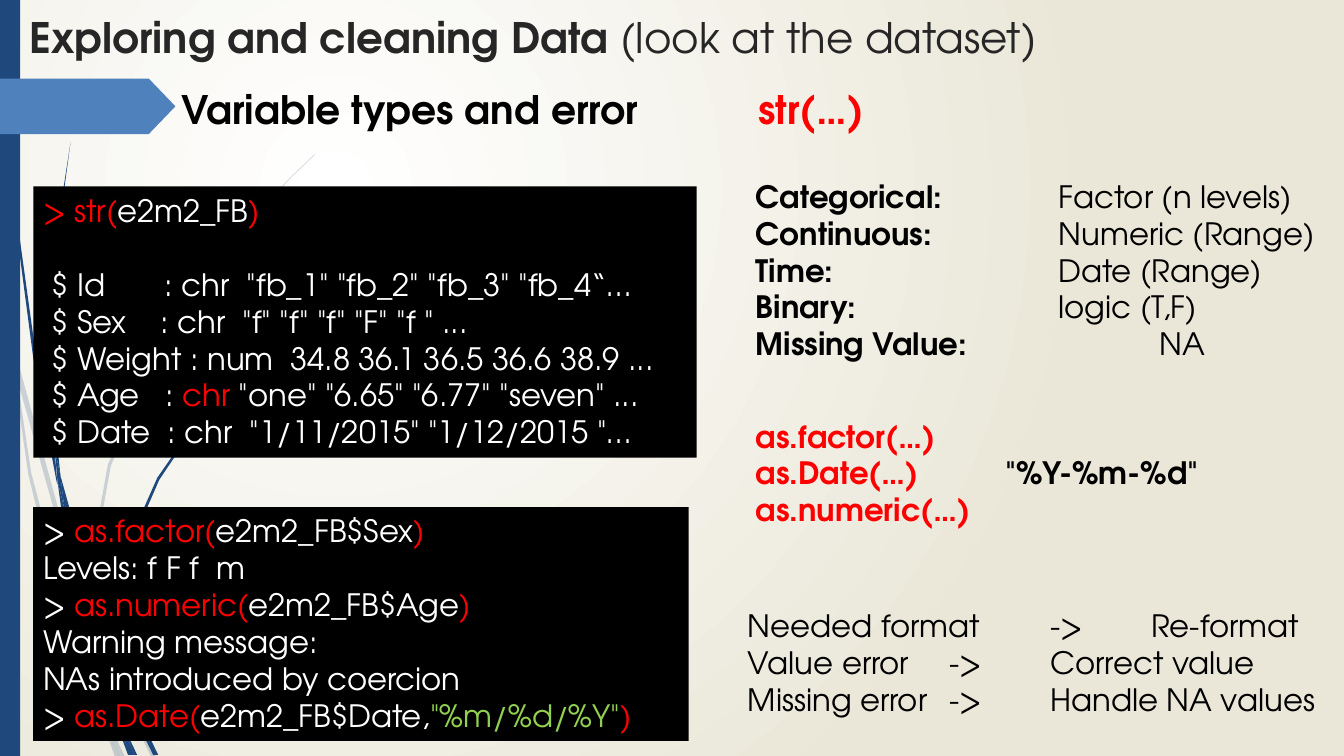
from dataclasses import dataclass

from lxml.etree import SubElement
from pptx import Presentation
from pptx.dml.color import RGBColor
from pptx.enum.shapes import MSO_SHAPE
from pptx.enum.text import MSO_ANCHOR, PP_ALIGN
from pptx.oxml.ns import qn
from pptx.util import Inches, Pt


@dataclass(frozen=True)
class Theme:
    font: str = "TeX Gyre Adventor"
    title_size: int = 30
    heading_size: int = 28
    body_size: int = 22
    title: str = "262626"
    black: str = "000000"
    white: str = "FFFFFF"
    red: str = "FF0000"
    green: str = "92D050"
    navy: str = "1F497D"
    blue: str = "4F81BD"
    beige: str = "EAE7D8"


T = Theme()


def red(text):
    return text, {"color": T.red}


def bold(text):
    return text, {"bold": True}


# Each text is a list of lines, each line a list of runs.
TITLE = [[bold("Exploring and cleaning Data"), " (look at the dataset)"]]
HEADING = [["Variable types and error\t", red("str(…)")]]
STR_CALL = [[red("> str("), "e2m2_FB", red(")")]]
STR_OUTPUT = [
    [' $ Id       : chr  "fb_1" "fb_2" "fb_3" "fb_4“…'],
    [' $ Sex    : chr  "f" "f" "f" "F" "f " ...'],
    [" $ Weight : num  34.8 36.1 36.5 36.6 38.9 ..."],
    [" $ Age   : ", red("chr"), ' "one" "6.65" "6.77" "seven" ...'],
    [' $ Date  : chr  "1/11/2015" "1/12/2015 "…'],
]
CONVERSION = [
    ["> ", red("as.factor("), "e2m2_FB$Sex", red(")")],
    ["Levels: f F f  m"],
    ["> ", red("as.numeric("), "e2m2_FB$Age", red(")")],
    ["Warning message:"],
    ["NAs introduced by coercion"],
    ["> ", red("as.Date("), "e2m2_FB$Date,",
     ('"%m/%d/%Y"', {"color": T.green}), red(")")],
]
TYPES = [
    [bold("Categorical:"), "\tFactor (n levels)"],
    [bold("Continuous:"), "\tNumeric (Range)"],
    [bold("Time:"), "\tDate (Range)"],
    [bold("Binary:"), "\tlogic (T,F)"],
    [bold("Missing Value:"), "\t\tNA"],
]
FUNCTIONS = [
    [red("as.factor(…)")],
    [red("as.Date(…)"), '\t"%Y-%m-%d"'],
    [red("as.numeric(…)")],
]
ACTIONS = [
    ["Needed format\t->\tRe-format"],
    ["Value error\t->\tCorrect value"],
    ["Missing error\t->\tHandle NA values"],
]

# Outlines of the grass blades, in inches on the slide.
PALE_BLADES = [
    [(0.11, 3.5), (0.09, 3.22), (0, 2.82), (0, 2.99), (0.1, 3.44)],
    [(0.58, 5.22), (0.84, 5.99), (0.85, 5.86), (0.62, 5.2), (0.14, 3.45), (0.17, 3.76)],
    [(0.92, 6.07), (0.88, 5.96), (0.88, 6.1), (1.23, 6.94), (1.5, 7.51), (1.55, 7.51),
     (1.27, 6.92)],
    [(1.19, 7.51), (1.24, 7.51), (1.05, 7.11)],
    [(0.93, 6.83), (0.7, 6.19), (0.31, 4.69), (0.17, 3.76), (0.11, 3.5), (0.28, 4.7),
     (0.65, 6.21), (0.92, 6.93), (1.01, 7.14), (0.99, 7.07)],
    [(0.88, 5.84), (1.1, 4.62), (1.6, 3.49), (2.29, 2.45), (2.68, 1.98), (2.9, 1.75),
     (3.12, 1.54), (3.12, 1.53), (2.89, 1.75), (2.68, 1.97), (2.28, 2.44), (1.58, 3.48),
     (1.07, 4.61), (0.85, 5.84), (0.85, 5.86), (0.88, 5.96)],
    [(1.01, 7.14), (1.14, 7.51), (1.19, 7.51)],
    [(0.96, 6.92), (0.93, 6.83), (0.99, 7.07), (1.01, 7.14), (1.19, 7.51), (1.05, 7.11)],
]
DARK_BLADES = [
    [(0.07, 1.1), (0.17, 2.33), (0.33, 3.55), (0.56, 4.77), (0.57, 4.81), (0.55, 4.57),
     (0.55, 4.53), (0.36, 3.55), (0.19, 2.32), (0.08, 1.09), (0.05, 0.48), (0.04, 0),
     (0.03, 0), (0.04, 0.48)],
    [(0.88, 5.92), (1.06, 6.45), (1.06, 6.31), (0.93, 5.9), (0.6, 4.72), (0.64, 5.05)],
    [(1.13, 6.49), (1.1, 6.41), (1.11, 6.56), (1.32, 7.08), (1.52, 7.49), (1.57, 7.49),
     (1.36, 7.06)],
    [(1.1, 6.91), (0.98, 6.57), (0.72, 5.56), (0.64, 5.05), (0.57, 4.77), (0.68, 5.57),
     (0.93, 6.59), (1.11, 7.08), (1.17, 7.22), (1.16, 7.17)],
    [(0.6, 4.72), (0.58, 4.53), (0.54, 3.49), (0.58, 2.45), (0.63, 1.93), (0.7, 1.41),
     (0.62, 1.93), (0.56, 2.45), (0.52, 3.49), (0.55, 4.49)],
    [(1.33, 7.49), (1.36, 7.49), (1.22, 7.19)],
    [(0.57, 4.77), (0.64, 5.05), (0.6, 4.72), (0.55, 4.49), (0.55, 4.53)],
    [(1.11, 6.33), (1.25, 5.52), (1.58, 4.76), (2.05, 4.06), (2.31, 3.74), (2.61, 3.44),
     (2.31, 3.73), (2.04, 4.05), (1.56, 4.74), (1.22, 5.51), (1.06, 6.31), (1.1, 6.41)],
    [(1.17, 7.22), (1.27, 7.49), (1.31, 7.49)],
    [(1.16, 7.06), (1.1, 6.91), (1.16, 7.17), (1.3, 7.49), (1.33, 7.49), (1.22, 7.19)],
]


def paint(sp, color, alpha=100):
    sp.shadow.inherit = False
    sp.fill.solid()
    sp.fill.fore_color.rgb = RGBColor.from_string(color)
    sp.line.fill.background()
    if alpha < 100:
        clr = sp.fill._xPr.find(".//" + qn("a:srgbClr"))
        SubElement(clr, qn("a:alpha"), val=str(alpha * 1000))
    return sp


def add_blade(slide, points, **fmt):
    start, *rest = [(Inches(x), Inches(y)) for x, y in points]
    builder = slide.shapes.build_freeform(*start)
    builder.add_line_segments(rest, close=True)
    paint(builder.convert_to_shape(), **fmt)


def add_block(slide, kind, box, color):
    return paint(slide.shapes.add_shape(kind, *map(Inches, box)), color)


def write(tf, lines, size=T.body_size, color=T.black, bold=False, stops=(), before=0):
    """Append lines to a text frame; stops are tab stops in inches,
    before is the space in points above the first line."""
    tf.word_wrap = True
    tf.vertical_anchor = MSO_ANCHOR.TOP
    for i, line in enumerate(lines):
        p = tf.paragraphs[0] if not tf.paragraphs[0].runs else tf.add_paragraph()
        p.alignment = PP_ALIGN.LEFT
        p.space_before = Pt(before if i == 0 else 0)
        if stops:
            tabs = SubElement(p._p.get_or_add_pPr(), qn("a:tabLst"))
            for stop in stops:
                SubElement(tabs, qn("a:tab"), pos=str(Inches(stop)), algn="l")
        for run in line:
            text, fmt = (run, {}) if isinstance(run, str) else run
            r = p.add_run()
            r.text = text
            r.font.name = T.font
            r.font.size = Pt(size)
            r.font.bold = fmt.get("bold", bold)
            r.font.color.rgb = RGBColor.from_string(fmt.get("color", color))


def add_text(slide, box, lines, **fmt):
    write(slide.shapes.add_textbox(*map(Inches, box)).text_frame, lines, **fmt)


def set_background(slide):
    fill = slide.background.fill
    fill.gradient()
    for stop, color in zip(fill.gradient_stops, (T.white, T.beige)):
        stop.color.rgb = RGBColor.from_string(color)
    lin = slide.element.find(".//" + qn("a:lin"))
    grad = lin.getparent()
    grad.remove(lin)
    radial = SubElement(grad, qn("a:path"), {"path": "circle"})
    SubElement(radial, qn("a:fillToRect"), l="50000", t="50000", r="100000", b="100000")


def main():
    prs = Presentation()
    prs.slide_width, prs.slide_height = Inches(13.33), Inches(7.5)
    slide = prs.slides.add_slide(prs.slide_layouts[5])
    set_background(slide)

    for points in PALE_BLADES:
        add_blade(slide, points, color=T.navy, alpha=20)
    for points in DARK_BLADES:
        add_blade(slide, points, color=T.navy)
    add_block(slide, MSO_SHAPE.RECTANGLE, (0, 0, 0.2, 7.5), T.navy)
    arrow = add_block(slide, MSO_SHAPE.PENTAGON, (0, 0.78, 1.74, 0.55), T.blue)
    arrow.adjustments[0] = 0.48

    title = slide.shapes.title
    title.left, title.top, title.width, title.height = map(Inches, (0.19, 0.06, 10.27, 0.66))
    write(title.text_frame, TITLE, size=T.title_size, color=T.title)
    add_text(slide, (1.7, 0.8, 7.46, 0.57), HEADING, size=T.heading_size, bold=True,
             stops=[5.72])

    console = add_block(slide, MSO_SHAPE.RECTANGLE, (0.33, 1.85, 6.58, 2.69), T.black)
    write(console.text_frame, STR_CALL, color=T.white)
    write(console.text_frame, STR_OUTPUT, color=T.white, before=26.4)
    console = add_block(slide, MSO_SHAPE.RECTANGLE, (0.33, 5.03, 6.5, 2.32), T.black)
    write(console.text_frame, CONVERSION, color=T.white)

    add_text(slide, (7.4, 1.71, 5.83, 1.95), TYPES, stops=[3, 4])
    add_text(slide, (7.4, 4.09, 5.04, 1.21), FUNCTIONS, bold=True, stops=[2.47])
    add_text(slide, (7.32, 5.97, 5.91, 1.21), ACTIONS, stops=[2, 3, 4])
    prs.save("out.pptx")


if __name__ == "__main__":
    main()
